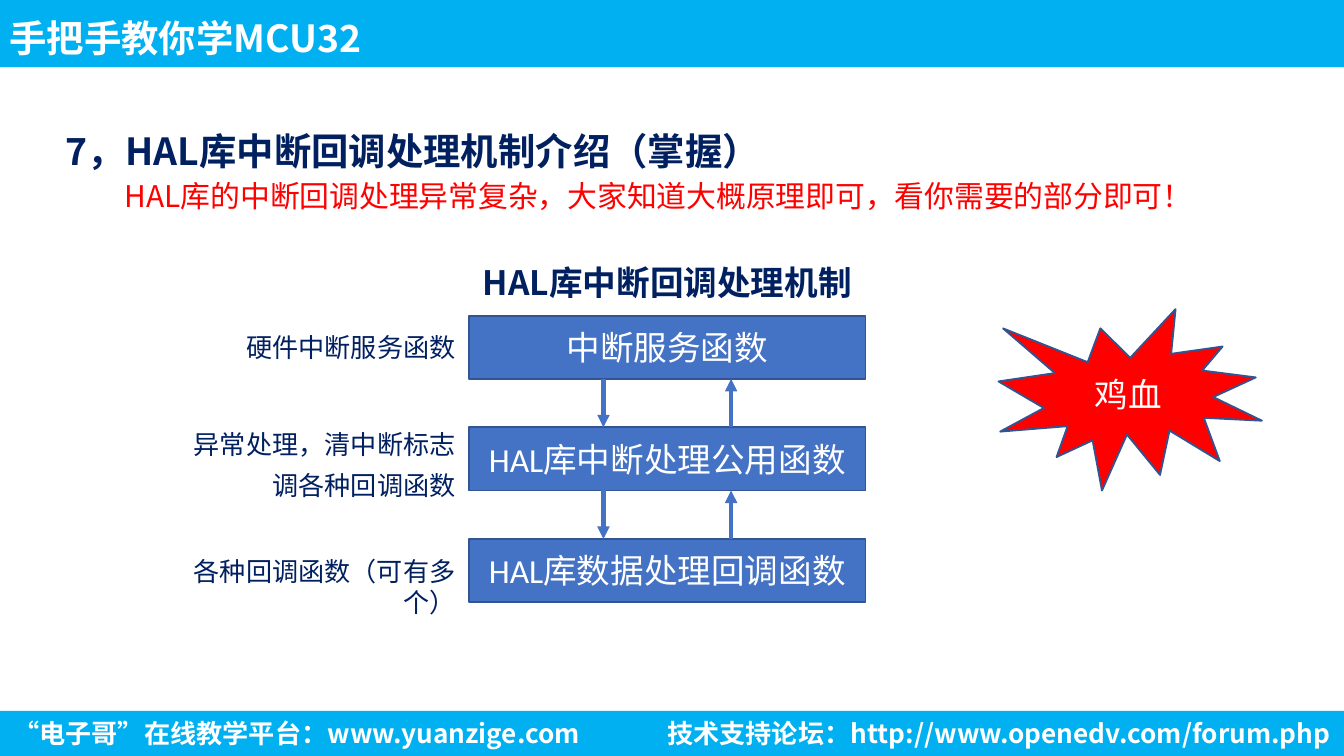
from lxml import etree
from pptx import Presentation
from pptx.dml.color import RGBColor
from pptx.enum.shapes import MSO_CONNECTOR as Connector, MSO_SHAPE as Shape
from pptx.enum.text import MSO_ANCHOR as Anchor, MSO_AUTO_SIZE as AutoSize, PP_ALIGN as Align
from pptx.oxml.ns import qn
from pptx.util import Inches, Pt

SKY = RGBColor(0x00, 0xB0, 0xF0)
NAVY = RGBColor(0x00, 0x20, 0x60)
BLUE = RGBColor(0x44, 0x72, 0xC4)
EDGE = RGBColor(0x32, 0x54, 0x91)
RED = RGBColor(0xFF, 0x00, 0x00)
WHITE = RGBColor(0xFF, 0xFF, 0xFF)
CJK = "Noto Sans CJK SC"

BOX_LEFT, BOX_WIDTH, BOX_HEIGHT = 3.49, 2.95, 0.47
BOX_TOP, BOX_STEP = 2.35, 0.83
STAGES = ["中断服务函数", "HAL库中断处理公用函数", "HAL库数据处理回调函数"]
DOWN_X, UP_X = 4.49, 5.44


def write(shape, text, size, color, bold=False, align=Align.LEFT,
          spacing=1.0, font=CJK, anchor=Anchor.TOP, insets=(0.1, 0.05)):
    frame = shape.text_frame
    frame.text = text
    frame.word_wrap = True
    frame.auto_size = AutoSize.NONE
    frame.vertical_anchor = anchor
    frame.margin_left = frame.margin_right = Inches(insets[0])
    frame.margin_top = frame.margin_bottom = Inches(insets[1])
    for para in frame.paragraphs:
        para.alignment = align
        para.line_spacing = spacing
        para.space_before = Pt(0)
        for span in para.runs:
            span.font.size = Pt(size)
            span.font.bold = bold
            span.font.color.rgb = color
            span.font.name = font
            east_asian = etree.SubElement(span.font._element, qn("a:ea"))
            east_asian.set("typeface", CJK)


def add_text(slide, place, text, size, color, **style):
    box = slide.shapes.add_textbox(*map(Inches, place))
    write(box, text, size, color, **style)


def add_filled(slide, kind, place, fill, line=None):
    shape = slide.shapes.add_shape(kind, *map(Inches, place))
    shape.shadow.inherit = False
    shape.fill.solid()
    shape.fill.fore_color.rgb = fill
    if line is None:
        shape.line.fill.background()
    else:
        shape.line.color.rgb = line
        shape.line.width = Pt(1)
    return shape


def add_arrow(slide, x, start_y, end_y):
    arrow = slide.shapes.add_connector(
        Connector.STRAIGHT, Inches(x), Inches(start_y), Inches(x), Inches(end_y))
    arrow.line.color.rgb = BLUE
    arrow.line.width = Pt(2.25)
    line = arrow.line._get_or_add_ln()
    etree.SubElement(line, qn("a:tailEnd")).set("type", "triangle")
    etree.SubElement(arrow._element.spPr, qn("a:effectLst"))


def add_bands(slide):
    add_filled(slide, Shape.RECTANGLE, (0, 0, 10, 0.5), SKY)
    add_text(slide, (0, 0, 6.45, 0.5), "手把手教你学MCU32", 20, WHITE, bold=True,
             spacing=1.2, anchor=Anchor.MIDDLE, insets=(0.07, 0.04))
    add_filled(slide, Shape.RECTANGLE, (0, 5.29, 10, 0.34), SKY)
    add_text(slide, (0, 5.29, 5.88, 0.34),
             "“电子哥”在线教学平台：www.yuanzige.com", 14, WHITE, bold=True)
    add_text(slide, (3.63, 5.29, 6.37, 0.34),
             "技术支持论坛：http://www.openedv.com/forum.php", 14, WHITE,
             bold=True, align=Align.RIGHT)


def add_heading(slide):
    title = slide.shapes.title
    title.left, title.top, title.width, title.height = map(
        Inches, (0.44, 0.77, 5.55, 0.5))
    write(title, "7，HAL库中断回调处理机制介绍（掌握）", 20, NAVY, bold=True,
          spacing=1.5, insets=(0.05, 0.02))
    add_text(slide, (0.83, 1.27, 8.32, 0.37),
             "HAL库的中断回调处理异常复杂，大家知道大概原理即可，看你需要的部分即可！",
             16, RED)


def add_flow(slide):
    add_text(slide, (3.35, 1.9, 3.23, 0.4), "HAL库中断回调处理机制", 18, NAVY,
             bold=True, align=Align.CENTER)
    for index, stage in enumerate(STAGES):
        top = BOX_TOP + index * BOX_STEP
        box = add_filled(slide, Shape.RECTANGLE,
                         (BOX_LEFT, top, BOX_WIDTH, BOX_HEIGHT), BLUE, EDGE)
        write(box, stage, 18, WHITE, align=Align.CENTER, font="Calibri",
              anchor=Anchor.MIDDLE)
        if index:
            previous_bottom = top - BOX_STEP + BOX_HEIGHT
            add_arrow(slide, DOWN_X, previous_bottom, top)
            add_arrow(slide, UP_X, top, previous_bottom)


def add_stage_notes(slide):
    notes = [
        (2.42, 1.77, 0.34, 1.0, "硬件中断服务函数"),
        (3.07, 2.89, 0.69, 1.3, "异常处理，清中断标志\n调各种回调函数"),
        (4.08, 2.38, 0.34, 1.0, "各种回调函数（可有多个）"),
    ]
    for top, width, height, spacing, text in notes:
        add_text(slide, (BOX_LEFT - width, top, width, height), text, 14, NAVY,
                 align=Align.RIGHT, spacing=spacing)


def main():
    deck = Presentation()
    deck.slide_width = Inches(10)
    deck.slide_height = deck.slide_width * 9 // 16
    slide = deck.slides.add_slide(deck.slide_layouts[5])
    add_bands(slide)
    add_heading(slide)
    add_flow(slide)
    add_stage_notes(slide)
    burst = add_filled(slide, Shape.EXPLOSION1, (7.43, 2.3, 1.96, 1.35), RED, EDGE)
    write(burst, "鸡血", 18, WHITE, align=Align.CENTER, anchor=Anchor.MIDDLE)
    deck.save("out.pptx")


if __name__ == "__main__":
    main()
